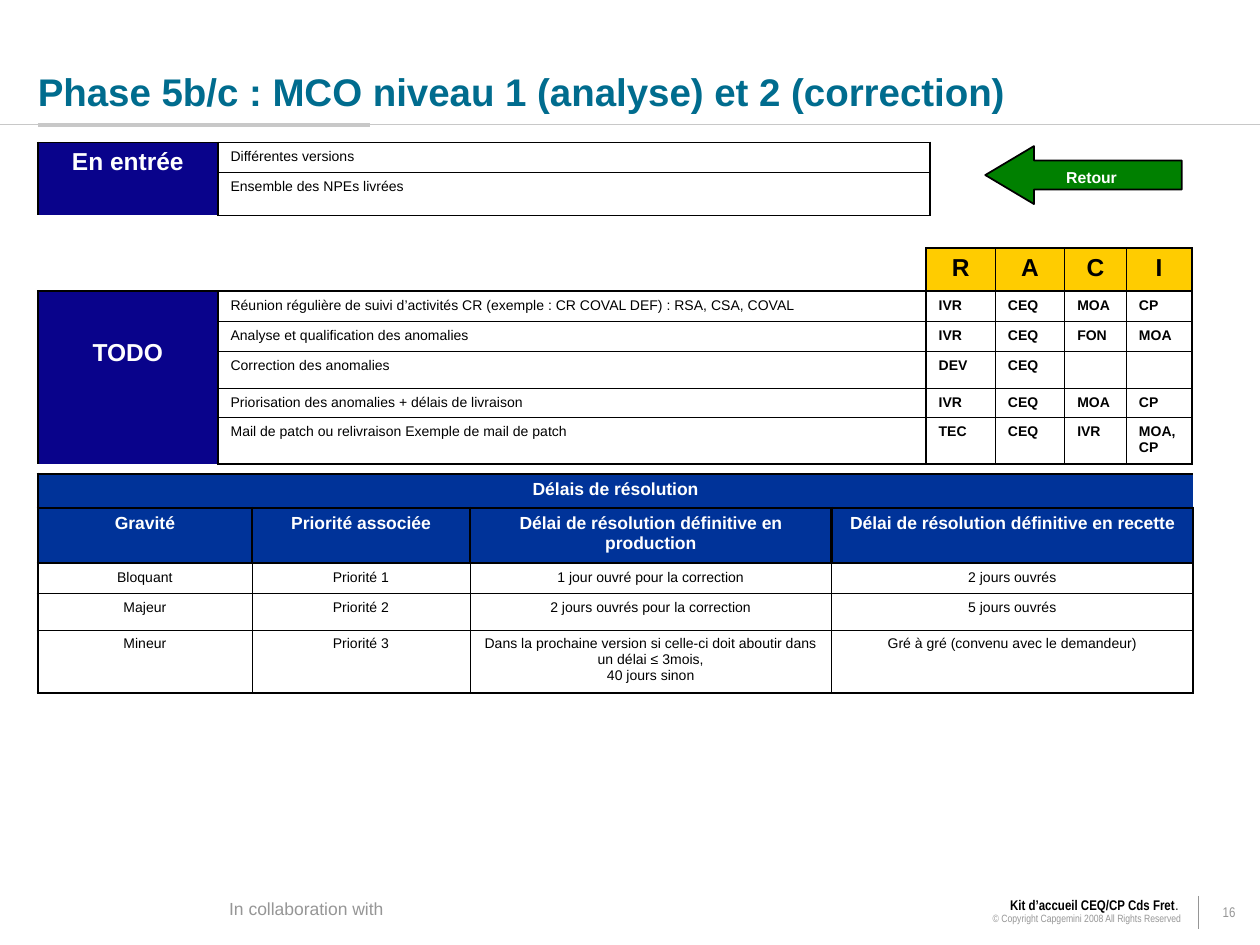
from itertools import product

from lxml.etree import SubElement
from pptx import Presentation
from pptx.dml.color import RGBColor
from pptx.enum.shapes import MSO_CONNECTOR, MSO_SHAPE
from pptx.enum.text import MSO_ANCHOR, PP_ALIGN
from pptx.oxml import parse_xml
from pptx.oxml.ns import nsdecls, qn
from pptx.util import Inches, Pt

COLS, ROWS = 1000, 750
UNIT = Inches(10) // COLS
BLACK = RGBColor(0x00, 0x00, 0x00)
WHITE = RGBColor(0xFF, 0xFF, 0xFF)
TEAL = RGBColor(0x00, 0x6C, 0x8E)
NAVY = RGBColor(0x09, 0x03, 0x8B)
BLUE = RGBColor(0x00, 0x33, 0x99)
GOLD = RGBColor(0xFF, 0xCC, 0x00)
GREEN = RGBColor(0x00, 0x80, 0x00)
GREY = RGBColor(0x96, 0x96, 0x96)
PALE = RGBColor(0xC8, 0xC8, 0xC8)
LEFT, CENTER, RIGHT = PP_ALIGN.LEFT, PP_ALIGN.CENTER, PP_ALIGN.RIGHT


def grid(*cells):
    """Convert grid columns and rows to lengths."""
    return [n * UNIT for n in cells]


def style_run(r, size, color, bold=False, font="Arial"):
    """Set the font of one run."""
    r.font.size, r.font.bold, r.font.name = Pt(size), bold, font
    r.font.color.rgb = color


def add_text(s, box, lines, align=LEFT, anchor=MSO_ANCHOR.TOP, inset=(10, 5), spacing=1.0, wrap=True):
    """Add a text box whose lines are lists of (text, style) runs."""
    tf = s.shapes.add_textbox(*grid(*box)).text_frame
    tf.word_wrap, tf.vertical_anchor = wrap, anchor
    tf.margin_left = tf.margin_right = inset[0] * UNIT
    tf.margin_top = tf.margin_bottom = inset[1] * UNIT
    for i, runs in enumerate(lines):
        p = tf.add_paragraph() if i else tf.paragraphs[0]
        p.alignment, p.line_spacing = align, spacing
        for text, style in runs:
            r = p.add_run()
            r.text = text
            style_run(r, *style)


def add_line(s, ends, color, width):
    """Draw a straight line without shadow."""
    line = s.shapes.add_connector(MSO_CONNECTOR.STRAIGHT, *grid(*ends))
    line.line.color.rgb, line.line.width = color, Pt(width)
    SubElement(line._element.spPr, qn("a:effectLst"))


def set_borders(cell, widths):
    """Set left, right, top and bottom borders; zero means none."""
    tc_pr = cell._tc.get_or_add_tcPr()
    for i, (side, width) in enumerate(zip("LRTB", widths)):
        paint = f'<a:solidFill><a:srgbClr val="{BLACK}"/></a:solidFill>' if width else "<a:noFill/>"
        tc_pr.insert(i, parse_xml(f'<a:ln{side} {nsdecls("a")} w="{Pt(width)}">{paint}</a:ln{side}>'))


def fill_cell(cell, text, style, align, fill, after):
    """Write the text of a cell and paint its background."""
    cell.margin_left = cell.margin_right = 10 * UNIT
    cell.margin_top = cell.margin_bottom = 5 * UNIT
    if fill is None:
        cell.fill.background()
    else:
        cell.fill.solid()
        cell.fill.fore_color.rgb = fill
    cell.text_frame.text = text or ""
    for p in cell.text_frame.paragraphs:
        p.alignment, p.space_after = align, Pt(after)
        p.font.size = Pt(style[0])
        for r in p.runs:
            style_run(r, *style)


def add_grid_table(s, box, widths, heights, texts, look, merges, thin, thick, thick_cols, thick_rows, solid=0):
    """Add a table with thick rules on the given column and row edges."""
    n_rows, n_cols = len(heights), len(widths)
    table = s.shapes.add_table(n_rows, n_cols, *grid(*box, sum(widths), sum(heights))).table
    table.first_row = table.horz_banding = False
    for col, width in zip(table.columns, widths):
        col.width = width * UNIT
    for row, height in zip(table.rows, heights):
        row.height = height * UNIT
    owner = {rc: rc for rc in product(range(n_rows), range(n_cols))}
    for r0, c0, r1, c1 in merges:
        table.cell(r0, c0).merge(table.cell(r1, c1))
        owner.update({rc: (r0, c0) for rc in product(range(r0, r1 + 1), range(c0, c1 + 1))})

    def edge(rc, other, is_thick):
        """Choose the rule between a cell and its neighbour."""
        blank = texts[owner[rc][0]][owner[rc][1]] is None
        if owner.get(other) == owner[rc] or (blank and other not in owner):
            return 0
        return thick if is_thick else thin

    for r, c in owner:
        cell = table.cell(r, c)
        fill_cell(cell, texts[r][c], *look(r, c))
        set_borders(cell, [
            edge((r, c), (r, c - 1), c in thick_cols or r < solid),
            edge((r, c), (r, c + 1), c + 1 in thick_cols or r < solid),
            edge((r, c), (r - 1, c), r in thick_rows),
            edge((r, c), (r + 1, c), r + 1 in thick_rows)])
    return table


def add_inputs(s, x, y):
    """Add the table of phase inputs."""
    def look(r, c):
        """Give the look of a cell."""
        return ((8, BLACK), LEFT, None, 5) if c else ((14, WHITE, True), CENTER, NAVY, 8.8)

    add_grid_table(s, (x, y), [143, 565], [24, 34],
                   [["En entrée", "Différentes versions"], ["", "Ensemble des NPEs livrées"]],
                   look, [(0, 0, 1, 0)], 0.45, 1.08, {0, 1, 2}, {0, 2})


def add_raci(s, x, y):
    """Add the table of tasks with their RACI roles."""
    texts = [
        [None, "", "R", "A", "C", "I"],
        ["TODO", "Réunion régulière de suivi d’activités CR (exemple : CR COVAL DEF) : RSA, CSA, COVAL",
         "IVR", "CEQ", "MOA", "CP"],
        ["", "Analyse et qualification des anomalies", "IVR", "CEQ", "FON", "MOA"],
        ["", "Correction des anomalies", "DEV", "CEQ", "", ""],
        ["", "Priorisation des anomalies + délais de livraison", "IVR", "CEQ", "MOA", "CP"],
        ["", "Mail de patch ou relivraison Exemple de mail de patch", "TEC", "CEQ", "IVR", "MOA,CP"]]

    def look(r, c):
        """Give the look of a cell."""
        if r == 0:
            return (14, BLACK, True), CENTER, GOLD if c > 1 else None, 8.8
        if c == 0:
            return (14, WHITE, True), CENTER, NAVY, 8.8
        return (8, BLACK, c > 1), LEFT, None, 5

    table = add_grid_table(s, (x, y), [143, 562, 55, 55, 49, 52], [34, 24, 24, 29, 23, 37], texts,
                           look, [(0, 0, 0, 1), (1, 0, 5, 0)], 0.45, 1.08, {0, 1, 2, 6}, {0, 1, 6})
    table.cell(1, 0).margin_top = 38 * UNIT


def add_deadlines(s, x, y):
    """Add the table of resolution times."""
    texts = [
        ["Délais de résolution", "", "", ""],
        ["Gravité", "Priorité associée", "Délai de résolution définitive en production",
         "Délai de résolution définitive en recette"],
        ["Bloquant", "Priorité 1", "1 jour ouvré pour la correction", "2 jours ouvrés"],
        ["Majeur", "Priorité 2", "2 jours ouvrés pour la correction", "5 jours ouvrés"],
        ["Mineur", "Priorité 3",
         "Dans la prochaine version si celle-ci doit aboutir dans un délai ≤ 3mois,\n40 jours sinon",
         "Gré à gré (convenu avec le demandeur)"]]

    def look(r, c):
        """Give the look of a cell."""
        return ((10, WHITE, True), CENTER, BLUE, 0) if r < 2 else ((8, BLACK), CENTER, None, 0)

    add_grid_table(s, (x, y), [170, 173, 287, 287], [27, 44, 24, 29, 50], texts,
                   look, [(0, 0, 0, 3)], 0.11, 1.47, {0, 4}, {0, 1, 2, 5}, solid=2)


def add_header(s, x, y):
    """Add the title and the rules below it."""
    add_line(s, (0, y, COLS, y), PALE, 0.75)
    add_line(s, (x, y, x + 264, y), PALE, 2.25)
    add_text(s, (x, 0, 949, y - 8), [[("Phase 5b/c : MCO niveau 1 (analyse) et 2 (correction)", (22, TEAL, True))]],
             anchor=MSO_ANCHOR.BOTTOM, inset=(0, 0))


def add_back_arrow(s, x, y, w, h):
    """Add the labelled return arrow."""
    sp = s.shapes.add_shape(MSO_SHAPE.LEFT_ARROW, *grid(x, y, w, h))
    sp.shadow.inherit = False
    sp.adjustments[0], sp.adjustments[1] = 0.5, 0.84
    sp.fill.solid()
    sp.fill.fore_color.rgb = GREEN
    sp.line.color.rgb, sp.line.width = BLACK, Pt(1)
    add_text(s, (x + 15, y + 12, w - 14, 25), [[("Retour ", (9, WHITE, True))]], CENTER)


def add_footer(s, y, split):
    """Add the footer texts, the divider and the page number."""
    narrow = "Arial Narrow"
    small = (6, GREY, False, narrow)
    add_text(s, (172, y, 142, 24), [[("In collaboration with", (10, GREY))]], CENTER, spacing=0.85, wrap=False)
    add_line(s, (split, y + 1, split, y + 27), GREY, 0.75)
    add_text(s, (split, y + 1, COLS - split, 27), [[("16", (8, GREY, False, narrow))]],
             CENTER, MSO_ANCHOR.MIDDLE, spacing=0.85)
    add_text(s, (449, y - 1, 498, 30), [
        [("Kit d’accueil CEQ/CP Cds Fret", (8, BLACK, True, narrow)), (".", (8, BLACK, False, narrow)), (" ", small)],
        [("© Copyright Capgemini 2008 All Rights Reserved", small)]], RIGHT, spacing=0.85)


def main():
    """Build and save the slide."""
    prs = Presentation()
    prs.slide_width, prs.slide_height = grid(COLS, ROWS)
    s = prs.slides.add_slide(prs.slide_layouts[6])
    add_header(s, 30, 99)
    add_inputs(s, 30, 113)
    add_raci(s, 30, 197)
    add_back_arrow(s, 782, 116, 156, 46)
    add_deadlines(s, 30, 376)
    add_footer(s, 710, 951)
    prs.save("out.pptx")


if __name__ == "__main__":
    main()
